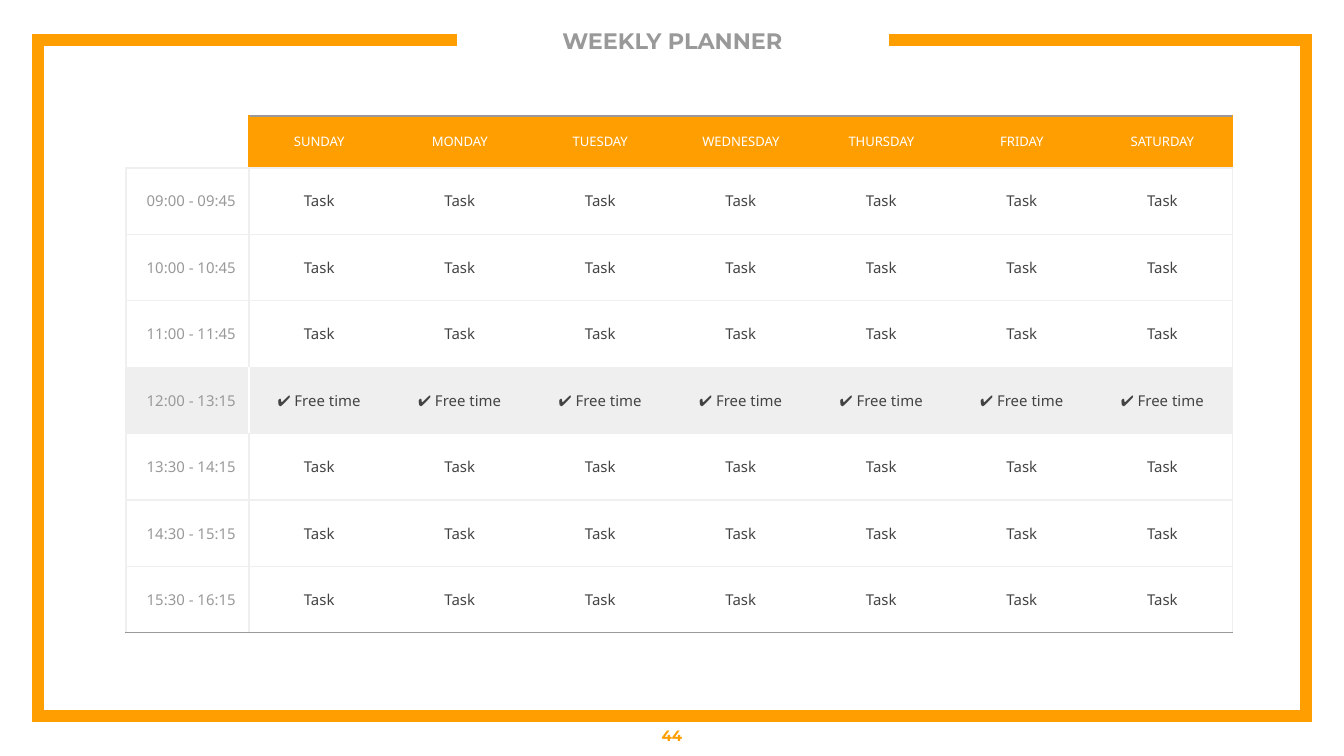
from lxml.etree import SubElement
from pptx import Presentation
from pptx.dml.color import RGBColor
from pptx.enum.text import MSO_ANCHOR, MSO_AUTO_SIZE, PP_ALIGN
from pptx.oxml.ns import qn
from pptx.util import Pt

PX = 6804  # EMU in one px
WIDE, HIGH = 1344, 756
ORANGE, GREY, DARK, PALE, WHITE = "FF9E00", "999999", "434343", "EFEFEF", "FFFFFF"
HEAD, BODY = "Montserrat", "Noto Sans"
PAD = 13
SIDES = ("left", "right", "top", "bottom")

DAYS = ["SUNDAY", "MONDAY", "TUESDAY", "WEDNESDAY", "THURSDAY", "FRIDAY", "SATURDAY"]
TIMES = ["09:00 - 09:45", "10:00 - 10:45", "11:00 - 11:45", "12:00 - 13:15",
         "13:30 - 14:15", "14:30 - 15:15", "15:30 - 16:15"]
FREE = 4  # table row of the free time


def px(n):
    return round(n * PX)


def rgb(code):
    return RGBColor.from_string(code)


def style(item, values):
    for name, value in values.items():
        setattr(item, name, value)


def pads(size):
    return {f"margin_{side}": px(size) for side in SIDES}


def place(shape, box):
    style(shape, dict(zip(("left", "top", "width", "height"), map(px, box))))


def write(frame, text, size, color, font=BODY, bold=False, align=PP_ALIGN.CENTER):
    line = frame.paragraphs[0]
    line.alignment = align
    run = line.add_run()
    run.text = text
    style(run.font, {"size": Pt(size), "name": font, "bold": bold})
    run.font.color.rgb = rgb(color)


def add_frame(slide, box, gap):
    """Draw the outline, left open at the top between the two gap positions."""
    x, y, w, h = box
    start, end = (x + n for n in gap)
    pen = slide.shapes.build_freeform(start, y, scale=PX)
    pen.add_line_segments([(x, y), (x, y + h), (x + w, y + h), (x + w, y), (end, y)],
                          close=False)
    shape = pen.convert_to_shape()
    shape.shadow.inherit = False
    shape.fill.background()
    shape.line.color.rgb = rgb(ORANGE)
    shape.line.width = Pt(6)
    SubElement(shape.line._get_or_add_ln(), qn("a:miter"), lim="800000")


def add_label(shape, box, text, size, color, pad):
    place(shape, box)
    frame = shape.text_frame
    style(frame, {"word_wrap": True, "auto_size": MSO_AUTO_SIZE.NONE,
                  "vertical_anchor": MSO_ANCHOR.MIDDLE, **pads(pad)})
    write(frame, text, size, color, HEAD, True)


def upright(row, edge):
    """Colour of the vertical rule at a column edge."""
    if edge not in (0, 1, len(DAYS) + 1) or (row, edge) == (0, 0):
        return None
    if row == 0:
        return ORANGE
    return WHITE if (row, edge) == (FREE, 1) else PALE


def level(edge, col):
    """Colour of the horizontal rule at a row edge."""
    if edge == 0:
        return GREY if col else None
    return GREY if edge == len(TIMES) + 1 else PALE


def rule(cell, row, col):
    colors = {"a:lnL": upright(row, col), "a:lnR": upright(row, col + 1),
              "a:lnT": level(row, col), "a:lnB": level(row + 1, col)}
    props = cell._tc.get_or_add_tcPr()
    for tag, color in colors.items():
        line = SubElement(props, qn(tag), w=str(Pt(0.75)))
        if color:
            fill = SubElement(line, qn("a:solidFill"))
            SubElement(fill, qn("a:srgbClr"), val=color)
        else:
            SubElement(line, qn("a:noFill"))


def paint(cell, row, col):
    color = ORANGE if row == 0 and col else PALE if row == FREE else None
    if color:
        cell.fill.solid()
        cell.fill.fore_color.rgb = rgb(color)
    else:
        cell.fill.background()


def fill_in(cell, row, col):
    if row == 0 and col == 0:
        style(cell, pads(0))
        return
    style(cell, {"vertical_anchor": MSO_ANCHOR.MIDDLE, **pads(PAD)})
    if row == 0:
        write(cell.text_frame, DAYS[col - 1], 7, WHITE)
    elif col == 0:
        write(cell.text_frame, TIMES[row - 1], 8, GREY, align=PP_ALIGN.RIGHT)
    else:
        write(cell.text_frame, "✔ Free time" if row == FREE else "Task", 8, DARK)


def add_plan(slide, box, side, top):
    """Build the table with a time column and a day row of the given sizes."""
    x, y, w, h = box
    rows, cols = len(TIMES) + 1, len(DAYS) + 1
    table = slide.shapes.add_table(rows, cols, *map(px, box)).table
    style(table, {"first_row": False, "horz_banding": False})
    for n, col in enumerate(table.columns):
        col.width = px((w - side) / len(DAYS) if n else side)
    for n, row in enumerate(table.rows):
        row.height = px((h - top) / len(TIMES) if n else top)
    for r in range(rows):
        for c in range(cols):
            cell = table.cell(r, c)
            rule(cell, r, c)
            paint(cell, r, c)
            fill_in(cell, r, c)


def main():
    deck = Presentation()
    style(deck, {"slide_width": px(WIDE), "slide_height": px(HIGH)})
    slide = deck.slides.add_slide(deck.slide_layouts[5])
    add_frame(slide, (38, 40, 1268, 676), (419, 851))
    add_label(slide.shapes.title, (477, 15, 391, 52), "WEEKLY PLANNER", 12, GREY, 0)
    number = slide.shapes.add_textbox(0, 0, 0, 0)
    add_label(number, (0, 716, WIDE, 40), "44", 8, ORANGE, PAD)
    add_plan(slide, (126, 116, 1107, 517), 123, 52)
    deck.save("out.pptx")


if __name__ == "__main__":
    main()
